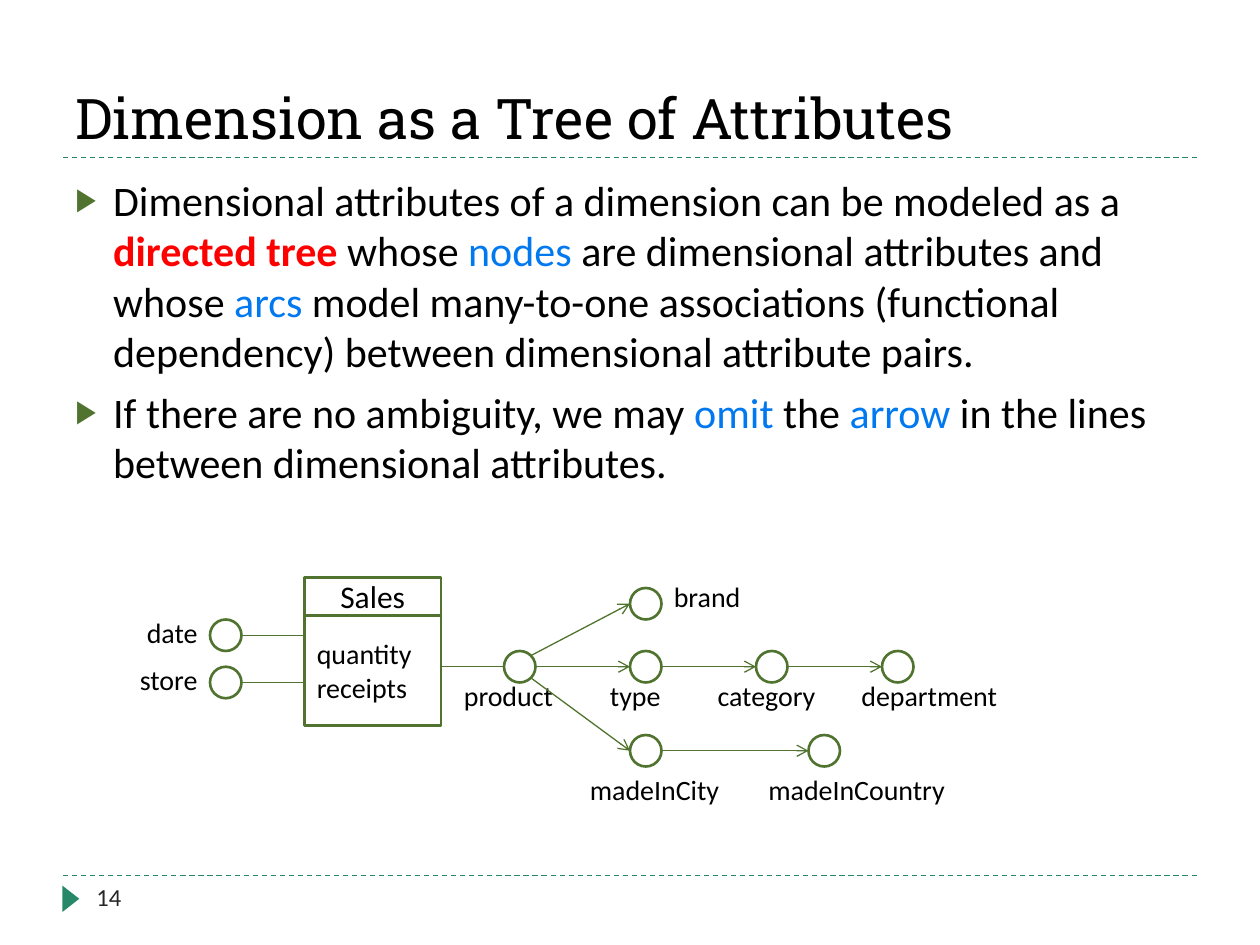
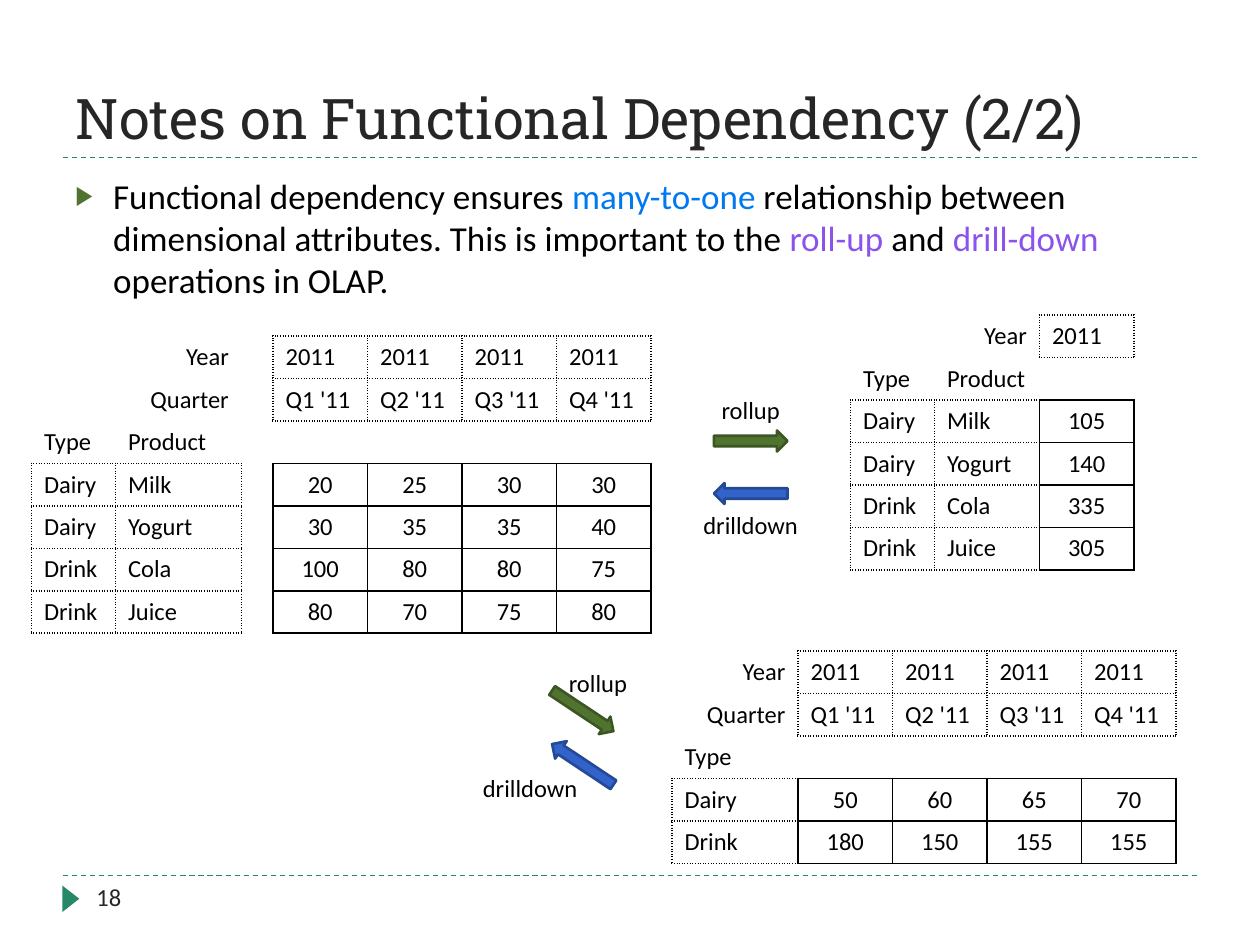
from dataclasses import dataclass
from itertools import product
from math import copysign, sqrt

from lxml.etree import SubElement
from pptx import Presentation
from pptx.dml.color import RGBColor
from pptx.enum.dml import MSO_LINE
from pptx.enum.shapes import MSO_CONNECTOR, MSO_SHAPE
from pptx.enum.text import MSO_ANCHOR as ANCHOR, MSO_AUTO_SIZE, PP_ALIGN as ALIGN
from pptx.oxml.ns import qn
from pptx.util import Pt

PX = 7620  # 120 px to the inch


@dataclass(frozen=True)
class Theme:
    title_font: str = "Roboto Slab"
    font: str = "Calibri"
    black: str = "000000"
    white: str = "FFFFFF"
    dark: str = "262626"
    teal: str = "268868"
    green: str = "50742F"
    green_edge: str = "3B5623"
    blue: str = "3163CA"
    blue_edge: str = "244995"
    red: str = "FF0000"
    azure: str = "0078F0"
    violet: str = "8B53EB"
    title_size: int = 32
    head_size: int = 18
    label_size: int = 16
    small_size: int = 14


T = Theme()

# Runs are plain text or (text, colour[, bold])
TREE_TITLE = "Dimension as a Tree of Attributes"
TREE_POINTS = [
    ["Dimensional attributes of a dimension can be modeled as a ",
     ("directed tree ", T.red, True), "whose ", ("nodes", T.azure),
     " are dimensional attributes and whose ", ("arcs", T.azure),
     " model many-to-one associations (functional dependency) between "
     "dimensional attribute pairs."],
    ["If there are no ambiguity, we may ", ("omit", T.azure), " the ",
     ("arrow", T.azure), " in the lines between dimensional attributes."],
]
FACT = ("Sales", ["quantity", "receipts"])
FACT_BOX = (290, 550, 130, 36, 105)  # left, top, width, head and body heights
NODE = 30
# name: (node left, top), (label left, top, width), label alignment
ATTRIBUTES = {
    "date": ((200, 590), (90, 580, 110), ALIGN.RIGHT),
    "store": ((200, 635), (90, 625, 110), ALIGN.RIGHT),
    "product": ((480, 620), (430, 640, 110), ALIGN.LEFT),
    "type": ((600, 620), (550, 640, 110), ALIGN.CENTER),
    "category": ((720, 620), (670, 640, 120), ALIGN.CENTER),
    "department": ((840, 620), (790, 640, 190), ALIGN.CENTER),
    "brand": ((600, 560), (630, 546, 110), ALIGN.LEFT),
    "madeInCity": ((600, 700), (550, 730, 160), ALIGN.LEFT),
    "madeInCountry": ((770, 700), (720, 730, 210), ALIGN.LEFT),
}
DIMENSIONS = ["date", "store", "product"]
ARCS = [("product", "type"), ("type", "category"), ("category", "department"),
        ("product", "brand"), ("product", "madeInCity"),
        ("madeInCity", "madeInCountry")]

NOTES_TITLE = "Notes on Functional Dependency (2/2)"
NOTES_POINTS = [
    ["Functional dependency ensures ", ("many-to-one", T.azure),
     " relationship between dimensional attributes. This is important to the ",
     ("roll-up", T.violet), " and ", ("drill-down", T.violet),
     " operations in OLAP."],
]
YEARS = ["2011"] * 4
QUARTERS = [f"Q{n} '11" for n in range(1, 5)]
BLANKS = [""] * 4
ROW_H = 40
# (left, top), column widths, rows
CUBES = [
    ((30, 320), [80, 120, 30] + [90] * 4, [
        ["", "Year", "", *YEARS],
        ["", "Quarter", "", *QUARTERS],
        ["Type", "Product", "", *BLANKS],
        ["Dairy", "Milk", "", 20, 25, 30, 30],
        ["Dairy", "Yogurt", "", 30, 35, 35, 40],
        ["Drink", "Cola", "", 100, 80, 80, 75],
        ["Drink", "Juice", "", 80, 70, 75, 80]]),
    ((810, 300), [80, 100, 90], [
        ["", "Year", "2011"],
        ["Type", "Product", ""],
        ["Dairy", "Milk", 105],
        ["Dairy", "Yogurt", 140],
        ["Drink", "Cola", 335],
        ["Drink", "Juice", 305]]),
    ((640, 620), [120] + [90] * 4, [
        ["Year", *YEARS],
        ["Quarter", *QUARTERS],
        ["Type", *BLANKS],
        ["Dairy", 50, 60, 65, 70],
        ["Drink", 180, 150, 155, 155]]),
]
ROLLUP = ("rollup", T.green, T.green_edge, 0)
DRILLDOWN = ("drilldown", T.blue, T.blue_edge, 180)
# operation, arrow (left, top), tilt, label (left, top, width), alignment
OPERATIONS = [
    (ROLLUP, (680, 410), 0, (660, 370, 110), ALIGN.CENTER),
    (DRILLDOWN, (680, 460), 0, (650, 480, 130), ALIGN.CENTER),
    (ROLLUP, (520, 667), 33.6, (530, 630, 110), ALIGN.LEFT),
    (DRILLDOWN, (520, 718), 33.6, (440, 730, 130), ALIGN.CENTER),
]


def emu(*lengths):
    return [round(n * PX) for n in lengths]


def rgb(color):
    return RGBColor.from_string(color)


def add_bullet(p):
    pPr = p._p.get_or_add_pPr()
    pPr.set("marL", str(36 * PX))
    pPr.set("indent", str(-36 * PX))
    SubElement(SubElement(pPr, qn("a:buClr")), qn("a:srgbClr"), val=T.green)
    SubElement(pPr, qn("a:buSzPct"), val="76000")
    SubElement(pPr, qn("a:buFont"), typeface="Arial")
    SubElement(pPr, qn("a:buChar"), char="▶")


def write(tf, paras, size=T.label_size, color=T.black, font=T.font,
          align=ALIGN.LEFT, anchor=None, bullet=False, gap=0):
    """Fill a text frame with paragraphs, each a string or a list of runs."""
    tf.word_wrap = True
    tf.auto_size = MSO_AUTO_SIZE.NONE
    if anchor is not None:
        tf.vertical_anchor = anchor
    for i, runs in enumerate([paras] if isinstance(paras, str) else paras):
        p = tf.add_paragraph() if i else tf.paragraphs[0]
        p.alignment = align
        if bullet:
            add_bullet(p)
        if i and gap:
            p.space_before = Pt(gap)
        for run in [runs] if isinstance(runs, str) else runs:
            text, tint, bold = run if len(run) == 3 and not isinstance(run, str) \
                else (*run, False) if isinstance(run, tuple) else (run, color, False)
            r = p.add_run()
            r.text = text
            r.font.name, r.font.size, r.font.bold = font, Pt(size), bold
            r.font.color.rgb = rgb(tint)


def add_text(s, paras, left, top, width, height=44, **fmt):
    box = s.shapes.add_textbox(*emu(left, top, width, height))
    write(box.text_frame, paras, **fmt)


def add_shape(s, kind, box, fill, line=None, rotation=0):
    sp = s.shapes.add_shape(kind, *emu(*box))
    sp.shadow.inherit = False
    sp.rotation = rotation
    sp.fill.solid()
    sp.fill.fore_color.rgb = rgb(fill)
    if line:
        sp.line.color.rgb = rgb(line)
        sp.line.width = Pt(1.5)
    else:
        sp.line.fill.background()
    return sp


def add_line(s, start, end, color=T.green, dash=None, arrow=False):
    cx = s.shapes.add_connector(MSO_CONNECTOR.STRAIGHT, *emu(*start, *end))
    cx.line.color.rgb = rgb(color)
    cx.line.width = Pt(0.75)
    if dash:
        cx.line.dash_style = dash
    if arrow:
        SubElement(cx.line._get_or_add_ln(), qn("a:tailEnd"), type="arrow")
    SubElement(cx._element.spPr, qn("a:effectLst"))


def add_slide(prs, title, number, title_color):
    """Add a slide with its title, dashed rules and page marker."""
    s = prs.slides.add_slide(prs.slide_layouts[5])
    for y in (834, 150):
        add_line(s, (60, y), (1140, y), T.teal, MSO_LINE.DASH)
    add_shape(s, MSO_SHAPE.ISOSCELES_TRIANGLE, (55, 848, 25, 16), T.teal, rotation=90)
    ph = s.shapes.title
    ph.left, ph.top, ph.width, ph.height = emu(60, 20, 1080, 130)
    write(ph.text_frame, title, size=T.title_size, font=T.title_font,
          color=title_color, anchor=ANCHOR.BOTTOM)
    add_text(s, str(number), 80, 834, 260, 48, size=T.small_size, color=T.dark)
    return s


def add_points(s, points, height, size):
    add_text(s, points, 60, 160, 1080, height, size=size, bullet=True, gap=6)


def add_fact(s):
    left, top, width, head_h, body_h = FACT_BOX
    head, measures = FACT
    for text, y, h, size, align in (
            (head, top, head_h, T.head_size, ALIGN.CENTER),
            (measures, top + head_h, body_h, T.label_size, ALIGN.LEFT)):
        sp = add_shape(s, MSO_SHAPE.RECTANGLE, (left, y, width, h), T.white, T.green)
        write(sp.text_frame, text, size=size, align=align, anchor=ANCHOR.MIDDLE)


def add_tree(s):
    half = NODE / 2
    for name, ((x, y), label, align) in ATTRIBUTES.items():
        add_shape(s, MSO_SHAPE.OVAL, (x, y, NODE, NODE), T.white, T.green)
        add_text(s, name, *label, align=align)
    box_left, box_right = FACT_BOX[0], FACT_BOX[0] + FACT_BOX[2]
    for name in DIMENSIONS:
        x, y = ATTRIBUTES[name][0]
        ends = (x + NODE, box_left) if x < box_left else (box_right, x)
        add_line(s, *((end, y + half) for end in ends))
    for parent, child in ARCS:
        (x1, y1), (x2, y2) = ATTRIBUTES[parent][0], ATTRIBUTES[child][0]
        start = (x1 + NODE, y1 + half)
        if y1 != y2:  # leave the node at 45 degrees
            reach = half / sqrt(2)
            start = (x1 + half + reach, y1 + half + copysign(reach, y2 - y1))
        add_line(s, start, (x2, y2 + half), arrow=True)


def add_cube(s, at, widths, rows):
    """Draw a cross table: values in solid cells, their keys in dotted ones."""
    n_rows, n_cols = len(rows), len(widths)
    table = s.shapes.add_table(
        n_rows, n_cols, *emu(*at, sum(widths), ROW_H * n_rows)).table
    table.first_row = table.horz_banding = False
    for column, width in zip(table.columns, widths):
        column.width = width * PX
    for row in table.rows:
        row.height = ROW_H * PX
    names_row = [row[0] for row in rows].index("Type")
    first_value = next(c for c, v in enumerate(rows[-1]) if isinstance(v, int))

    def border(r, c):
        """Rank of a cell's border: 0 none, 1 dotted, 2 solid."""
        if not (0 <= r < n_rows and 0 <= c < n_cols) or rows[r][c] == "":
            return 0
        if isinstance(rows[r][c], int):
            return 2
        return int(r > names_row or r < names_row and c >= first_value)

    for r, c in product(range(n_rows), range(n_cols)):
        cell, value = table.cell(r, c), rows[r][c]
        cell.vertical_anchor = ANCHOR.MIDDLE
        tcPr = cell._tc.get_or_add_tcPr()
        for side, dr, dc in (("L", 0, -1), ("R", 0, 1), ("T", -1, 0), ("B", 1, 0)):
            rank = max(border(r, c), border(r + dr, c + dc))
            ln = SubElement(tcPr, qn(f"a:ln{side}"), w=str(Pt(1)))
            if rank:
                fill = SubElement(ln, qn("a:solidFill"))
                SubElement(fill, qn("a:srgbClr"), val=T.black)
                SubElement(ln, qn("a:prstDash"), val=("sysDot", "solid")[rank - 1])
            else:
                SubElement(ln, qn("a:noFill"))
        cell.fill.background()
        if value == "":
            SubElement(cell.text_frame.paragraphs[0]._p, qn("a:endParaRPr"),
                       sz=str(T.small_size * 100))
            continue
        align = (ALIGN.CENTER if isinstance(value, int) else
                 ALIGN.RIGHT if r < names_row and c < first_value else ALIGN.LEFT)
        write(cell.text_frame, str(value), size=T.small_size, align=align)


def add_operation(s, operation, at, tilt, label, align):
    name, fill, edge, turn = operation
    add_shape(s, MSO_SHAPE.RIGHT_ARROW, (*at, 70, 20), fill, edge, turn + tilt)
    add_text(s, name, *label, 41, size=T.small_size, align=align)


def main():
    prs = Presentation()
    prs.slide_width, prs.slide_height = emu(1200, 900)

    s = add_slide(prs, TREE_TITLE, 14, T.black)
    add_points(s, TREE_POINTS, 330, 24)
    add_fact(s)
    add_tree(s)

    s = add_slide(prs, NOTES_TITLE, 18, T.dark)
    add_points(s, NOTES_POINTS, 140, 20)
    for cube in CUBES:
        add_cube(s, *cube)
    for operation in OPERATIONS:
        add_operation(s, *operation)

    prs.save("out.pptx")


if __name__ == "__main__":
    main()
